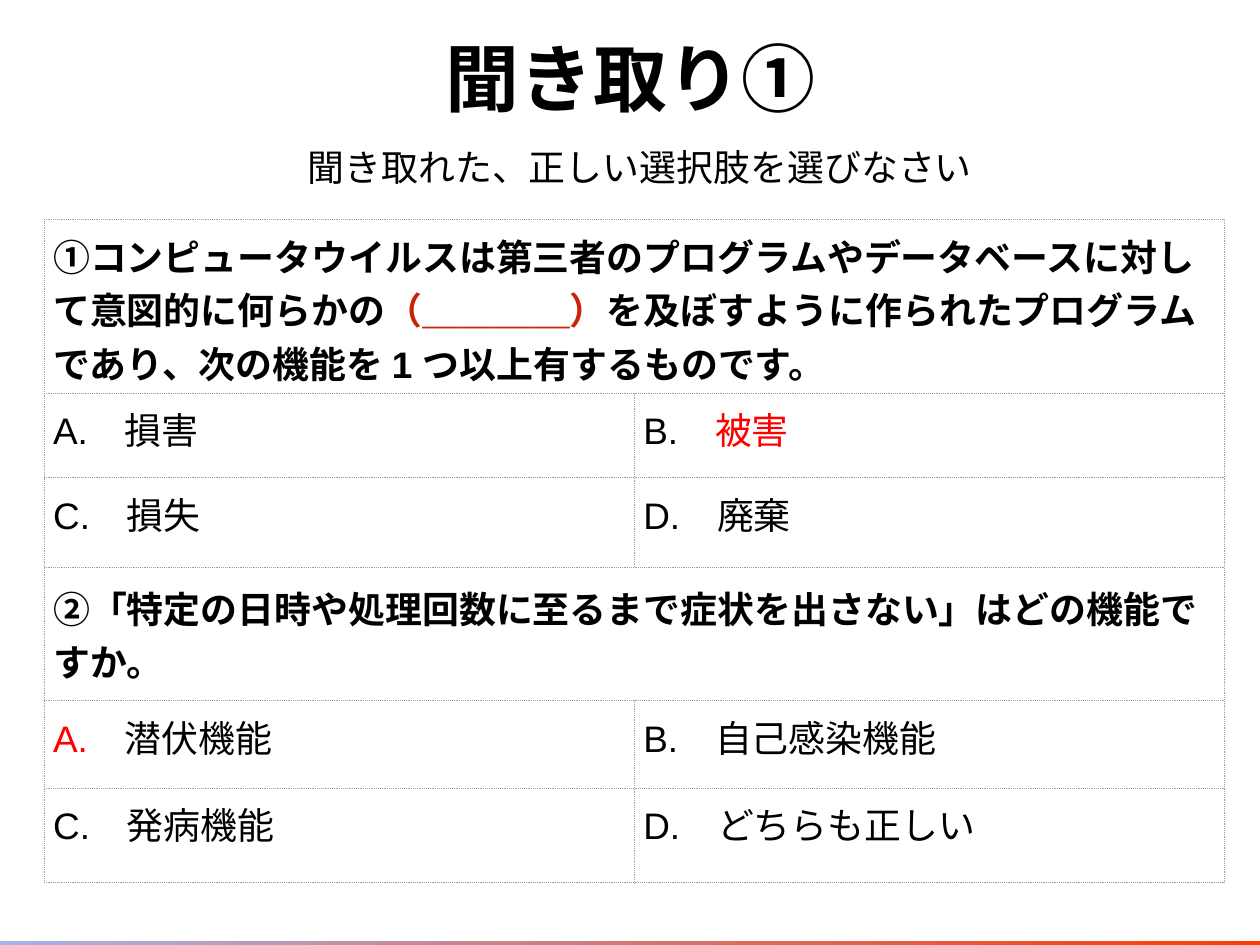
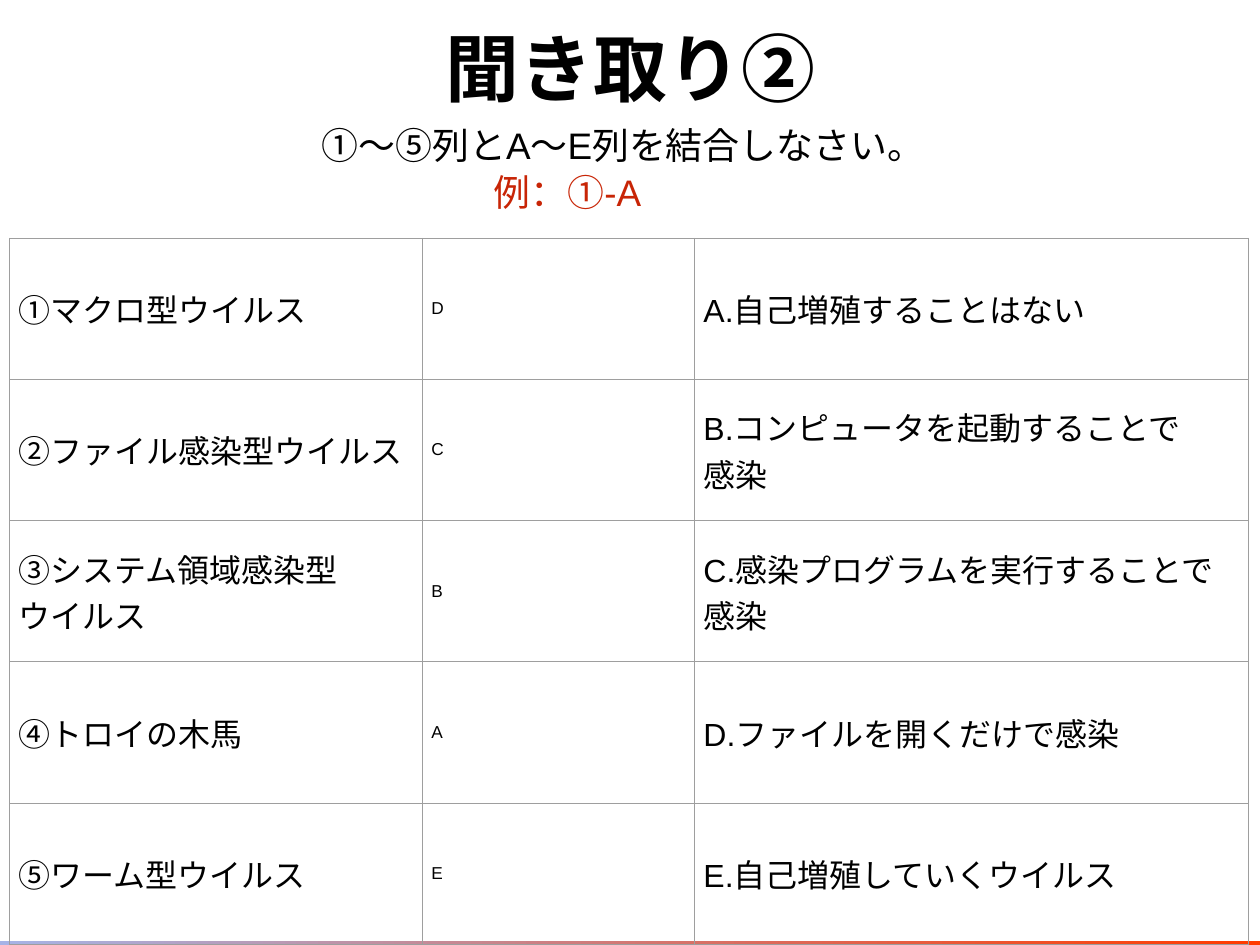
import pptx
import pptx.util
import pptx.dml.color
import pptx.enum.dml
import pptx.enum.lang
import pptx.enum.shapes
import pptx.enum.text
import pptx.oxml
import pptx.oxml.ns
import lxml.etree

# Scale: 100 px to the inch
PX = 9144
SLIDE_W, SLIDE_H = 1422, 1067
FONT = "Arial"

BLACK = pptx.dml.color.RGBColor(0x00, 0x00, 0x00)
RED = pptx.dml.color.RGBColor(0xFF, 0x00, 0x00)
BRICK = pptx.dml.color.RGBColor(0xC8, 0x25, 0x06)
ORANGE = pptx.dml.color.RGBColor(0xFF, 0x3B, 0x00)
PALE_BLUE = pptx.dml.color.RGBColor(0xA6, 0xB3, 0xE6)
GRID = pptx.dml.color.RGBColor(0x9E, 0x9E, 0x9E)

CENTER = pptx.enum.text.PP_ALIGN.CENTER
LEFT = pptx.enum.text.PP_ALIGN.LEFT
TOP = pptx.enum.text.MSO_ANCHOR.TOP
MIDDLE = pptx.enum.text.MSO_ANCHOR.MIDDLE
JAPANESE = pptx.enum.lang.MSO_LANGUAGE_ID.JAPANESE
CHINESE = pptx.enum.lang.MSO_LANGUAGE_ID.SIMPLIFIED_CHINESE


def write(frame, paragraphs, size, bold=False, align=LEFT, east_asian=None):
    """Each paragraph is a list of (text, colour) runs; "\n" breaks a line."""
    for number, runs in enumerate(paragraphs):
        paragraph = frame.add_paragraph() if number else frame.paragraphs[0]
        paragraph.alignment = align
        for text, colour in runs:
            for line_number, line in enumerate(text.split("\n")):
                if line_number:
                    paragraph.add_line_break()
                run = paragraph.add_run()
                run.text = line
                run.font.size = pptx.util.Pt(size)
                run.font.bold = bold
                run.font.color.rgb = colour
                run.font.name = FONT
                run.font.language_id = JAPANESE
                if east_asian:
                    lxml.etree.SubElement(
                        run.font._element, pptx.oxml.ns.qn("a:ea"),
                        typeface=east_asian)


def add_grid(slide, left, top, widths, heights, dash):
    """Add an unfilled table with the same border round every cell."""
    grid = slide.shapes.add_table(
        len(heights), len(widths), left * PX, top * PX,
        sum(widths) * PX, sum(heights) * PX).table
    grid.first_row = False
    grid.horz_banding = False
    for column, width in zip(grid.columns, widths):
        column.width = width * PX
    for row, height in zip(grid.rows, heights):
        row.height = height * PX
    for cell in grid.iter_cells():
        cell.margin_left = cell.margin_right = 10 * PX
        cell.margin_top = cell.margin_bottom = 10 * PX
        properties = cell._tc.get_or_add_tcPr()
        for side in ("lnL", "lnR", "lnT", "lnB"):
            properties.append(pptx.oxml.parse_xml(
                f'<a:{side} {pptx.oxml.ns.nsdecls("a")} w="9525">'
                f'<a:solidFill><a:srgbClr val="{GRID}"/></a:solidFill>'
                f'<a:prstDash val="{dash}"/></a:{side}>'))
        cell.fill.background()
    return grid


deck = pptx.Presentation()
deck.slide_width, deck.slide_height = SLIDE_W * PX, SLIDE_H * PX

# Heading, heading top, instruction width, instruction, example
headings = [
    ("聞き取り①", 21, 1112, "聞き取れた、正しい選択肢を選びなさい", None),
    ("聞き取り②", 9, 949, "①～⑤列とA～E列を結合しなさい。", "例：①‐A"),
]

# Shared parts: bottom band, heading, instruction
slides = []
for heading, heading_top, instruction_width, instruction, example in headings:
    slide = deck.slides.add_slide(deck.slide_layouts[6])
    slides.append(slide)

    band = slide.shapes.add_shape(
        pptx.enum.shapes.MSO_SHAPE.RECTANGLE,
        0, 1062 * PX, SLIDE_W * PX, 5 * PX)
    band.shadow.inherit = False
    band.line.fill.background()
    band.fill.gradient()
    band.fill.gradient_angle = 180
    for stop, colour in zip(band.fill.gradient_stops, (ORANGE, PALE_BLUE)):
        stop.color.rgb = colour

    for left, top, width, height, text, size, bold in (
            (90, heading_top, 1243, 133, heading, 60, True),
            (166, 142, instruction_width, 93, instruction, 30, False)):
        frame = slide.shapes.add_textbox(
            left * PX, top * PX, width * PX, height * PX).text_frame
        frame.word_wrap = True
        frame.vertical_anchor = MIDDLE
        frame.margin_left = frame.margin_right = 6 * PX
        frame.margin_top = frame.margin_bottom = 6 * PX
        write(frame, [[(text, BLACK)]], size, bold, CENTER, FONT)

    # Example under an indented instruction
    if example:
        instruction_line = frame.paragraphs[0]
        instruction_line._p.get_or_add_pPr().set("marL", str(125 * PX))
        example_line = frame.add_paragraph()
        example_line.alignment = CENTER
        example_run = example_line.add_run()
        example_run.text = example
        example_run.font.size = pptx.util.Pt(30)
        example_run.font.color.rgb = BRICK
        example_run.font.name = FONT
        example_run.font.language_id = CHINESE
        for line in frame.paragraphs:
            line.line_spacing = pptx.util.Pt(38)

choice_slide, matching_slide = slides

# Slide 1: two questions, each over a two-by-two set of choices
questions = [
    (TOP,
     [("①コンピュータウイルスは第三者のプログラムやデータベースに対して意図的に何らかの", BLACK),
      ("（＿＿＿＿）", BRICK),
      ("を及ぼすように作られたプログラムであり、次の機能を 1 つ以上有するものです。", BLACK)],
     [[("A.　損害", BLACK)],
      [("B.　", BLACK), ("被害", RED)],
      [("C.　損失", BLACK)],
      [("D.　廃棄", BLACK)]]),
    (MIDDLE,
     [("②「特定の日時や処理回数に至るまで症状を出さない」はどの機能ですか。", BLACK)],
     [[("A.　", RED), ("潜伏機能", BLACK)],
      [("B.　自己感染機能", BLACK)],
      [("C.　発病機能", BLACK)],
      [("D.　どちらも正しい", BLACK)]]),
]
quiz = add_grid(choice_slide, 50, 248, [666, 666],
                [196, 95, 102, 150, 99, 107], "sysDot")
for number, (anchor, question, choices) in enumerate(questions):
    question_row = number * 3
    question_cell = quiz.cell(question_row, 0)
    question_cell.merge(quiz.cell(question_row, 1))
    question_cell.vertical_anchor = anchor
    write(question_cell.text_frame, [question], 30, True)
    for position, choice in enumerate(choices):
        choice_cell = quiz.cell(question_row + 1 + position // 2, position % 2)
        write(choice_cell.text_frame, [choice], 30)

# Slide 2: virus types, answers and descriptions
matches = [
    (["①マクロ型ウイルス"], "D", "A.自己増殖することはない"),
    (["②ファイル感染型ウイルス"], "C", "B.コンピュータを起動することで\n感染"),
    (["③システム領域感染型", "ウイルス"], "B", "C.感染プログラムを実行することで\n感染"),
    (["④トロイの木馬"], "A", "D.ファイルを開くだけで感染"),
    (["⑤ワーム型ウイルス"], "E", "E.自己増殖していくウイルス"),
]
edges = [round(797 * row / len(matches)) for row in range(len(matches) + 1)]
matching = add_grid(
    matching_slide, 11, 269, [466, 307, 625],
    [lower - upper for upper, lower in zip(edges, edges[1:])], "solid")
for row, (virus, answer, description) in enumerate(matches):
    for column, (lines, size) in enumerate(
            ((virus, 26), ([answer], 14), ([description], 26))):
        cell = matching.cell(row, column)
        cell.vertical_anchor = MIDDLE
        write(cell.text_frame, [[(line, BLACK)] for line in lines], size)

deck.save("out.pptx")
